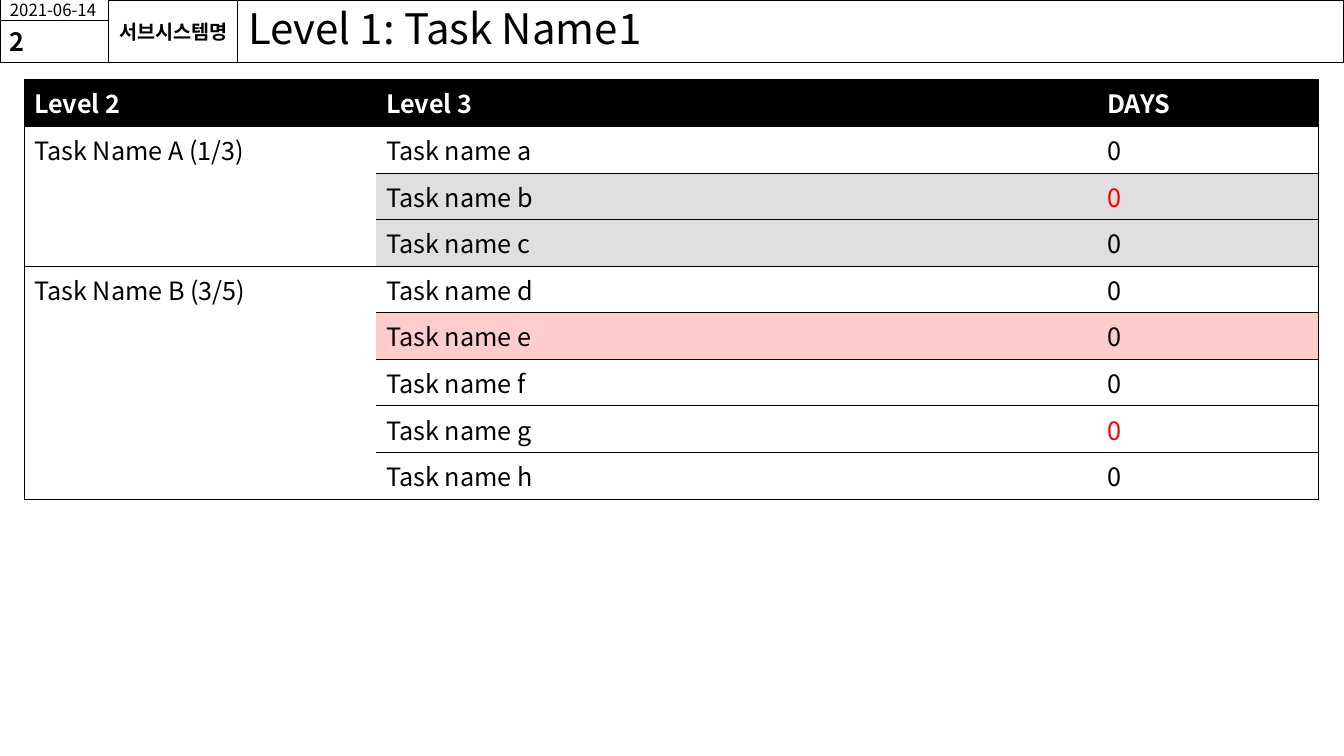
"""Build the task list slide with its header strip and days table."""
from lxml.etree import SubElement
from pptx import Presentation
from pptx.dml.color import RGBColor
from pptx.enum.shapes import MSO_SHAPE
from pptx.enum.text import MSO_ANCHOR, MSO_AUTO_SIZE, PP_ALIGN
from pptx.oxml import parse_xml
from pptx.oxml.ns import nsdecls, qn
from pptx.util import Inches, Pt

COLORS = {"black": "000000", "white": "FFFFFF", "gray": "DFDFDF", "pink": "FFCCCC", "red": "FF0000"}
FONT = "Noto Sans CJK KR"


def write_text(text_frame, text, size, color="black", bold=False, align=PP_ALIGN.LEFT):
    paragraph = text_frame.paragraphs[0]
    paragraph.text = text
    paragraph.alignment = align
    font = paragraph.font
    font.name = FONT
    font.size = Pt(size)
    font.bold = bold
    font.color.rgb = RGBColor.from_string(COLORS[color])
    SubElement(paragraph._p.pPr.find(qn("a:defRPr")), qn("a:ea"), typeface=FONT)
    return paragraph


def set_borders(cell, visible_edges):
    properties = cell._tc.get_or_add_tcPr()
    for position, edge in enumerate("LRTB"):
        paint = f'<a:solidFill><a:srgbClr val="{COLORS["black"]}"/></a:solidFill>'
        if edge not in visible_edges:
            paint = "<a:noFill/>"
        line = parse_xml(f'<a:ln{edge} {nsdecls("a")} w="{Pt(0.5)}">{paint}</a:ln{edge}>')
        properties.insert(position, line)


presentation = Presentation()
presentation.slide_width = Inches(13.33)
presentation.slide_height = Inches(7.5)
slide = presentation.slides.add_slide(presentation.slide_layouts[5])

title = slide.shapes.title
title.left, title.top, title.width, title.height = Inches(2.36), Inches(0), Inches(10.97), Inches(0.62)
title.line.color.rgb = RGBColor.from_string(COLORS["black"])
title.line.width = Pt(0.75)
title.text_frame.auto_size = MSO_AUTO_SIZE.NONE
title.text_frame.vertical_anchor = MSO_ANCHOR.MIDDLE
write_text(title.text_frame, "Level 1: Task Name1", 30).line_spacing = 0.9

header_boxes = [
    ("2021-06-14", 0, 0, 1.08, 0.2, 12, False, PP_ALIGN.LEFT, 0.1, 0.05),
    ("서브시스템명", 1.08, 0, 1.28, 0.62, 14, True, PP_ALIGN.CENTER, 0, 0),
    ("2", 0, 0.2, 1.08, 0.42, 18, True, PP_ALIGN.LEFT, 0.1, 0.05),
]
for text, left, top, width, height, size, bold, align, side_inset, end_inset in header_boxes:
    shape = slide.shapes.add_shape(
        MSO_SHAPE.RECTANGLE, Inches(left), Inches(top), Inches(width), Inches(height))
    shape.shadow.inherit = False
    shape.fill.background()
    shape.line.color.rgb = RGBColor.from_string(COLORS["black"])
    shape.line.width = Pt(0.75)
    text_frame = shape.text_frame
    text_frame.word_wrap = True
    text_frame.vertical_anchor = MSO_ANCHOR.MIDDLE
    text_frame.margin_left = text_frame.margin_right = Inches(side_inset)
    text_frame.margin_top = text_frame.margin_bottom = Inches(end_inset)
    write_text(text_frame, text, size, bold=bold, align=align)

task_groups = [
    ("Task Name A (1/3)", [
        ("Task name a", "0", "white", "black"),
        ("Task name b", "0", "gray", "red"),
        ("Task name c", "0", "gray", "black"),
    ]),
    ("Task Name B (3/5)", [
        ("Task name d", "0", "white", "black"),
        ("Task name e", "0", "pink", "black"),
        ("Task name f", "0", "white", "black"),
        ("Task name g", "0", "white", "red"),
        ("Task name h", "0", "white", "black"),
    ]),
]
row_count = 1 + sum(len(tasks) for _, tasks in task_groups)
row_height = Inches(0.41)
table = slide.shapes.add_table(
    row_count, 3, Inches(0.24), Inches(0.79), Inches(12.84), row_height * row_count).table
for column, width in zip(table.columns, (3.49, 7.15, 2.2)):
    column.width = Inches(width)
for row in table.rows:
    row.height = row_height

column_edges = ("LTB", "TB", "RTB")
for column_index, heading in enumerate(("Level 2", "Level 3", "DAYS")):
    cell = table.cell(0, column_index)
    cell.fill.solid()
    cell.fill.fore_color.rgb = RGBColor.from_string(COLORS["black"])
    write_text(cell.text_frame, heading, 18, "white", True)
    set_borders(cell, column_edges[column_index])

row_index = 1
for group_name, tasks in task_groups:
    first_row = row_index
    last_row = first_row + len(tasks) - 1
    table.cell(first_row, 0).merge(table.cell(last_row, 0))
    write_text(table.cell(first_row, 0).text_frame, group_name, 18)
    for name, days, fill, days_color in tasks:
        for column_index, cell_fill in enumerate(("white", fill, fill)):
            cell = table.cell(row_index, column_index)
            cell.fill.solid()
            cell.fill.fore_color.rgb = RGBColor.from_string(COLORS[cell_fill])
            edges = column_edges[column_index]
            if column_index == 0 and row_index != first_row:
                edges = "LB" if row_index == last_row else "L"
            set_borders(cell, edges)
        write_text(table.cell(row_index, 1).text_frame, name, 18)
        write_text(table.cell(row_index, 2).text_frame, days, 18, days_color)
        row_index += 1

presentation.save("out.pptx")
